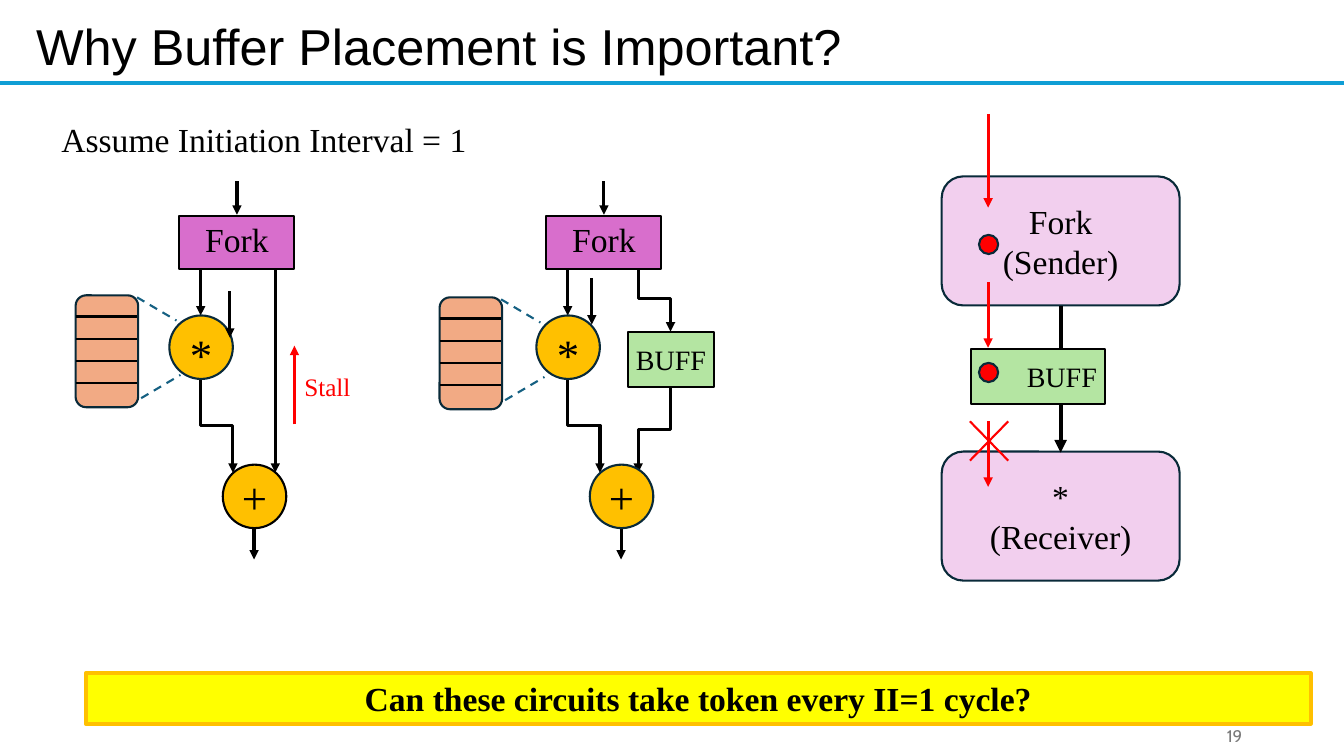
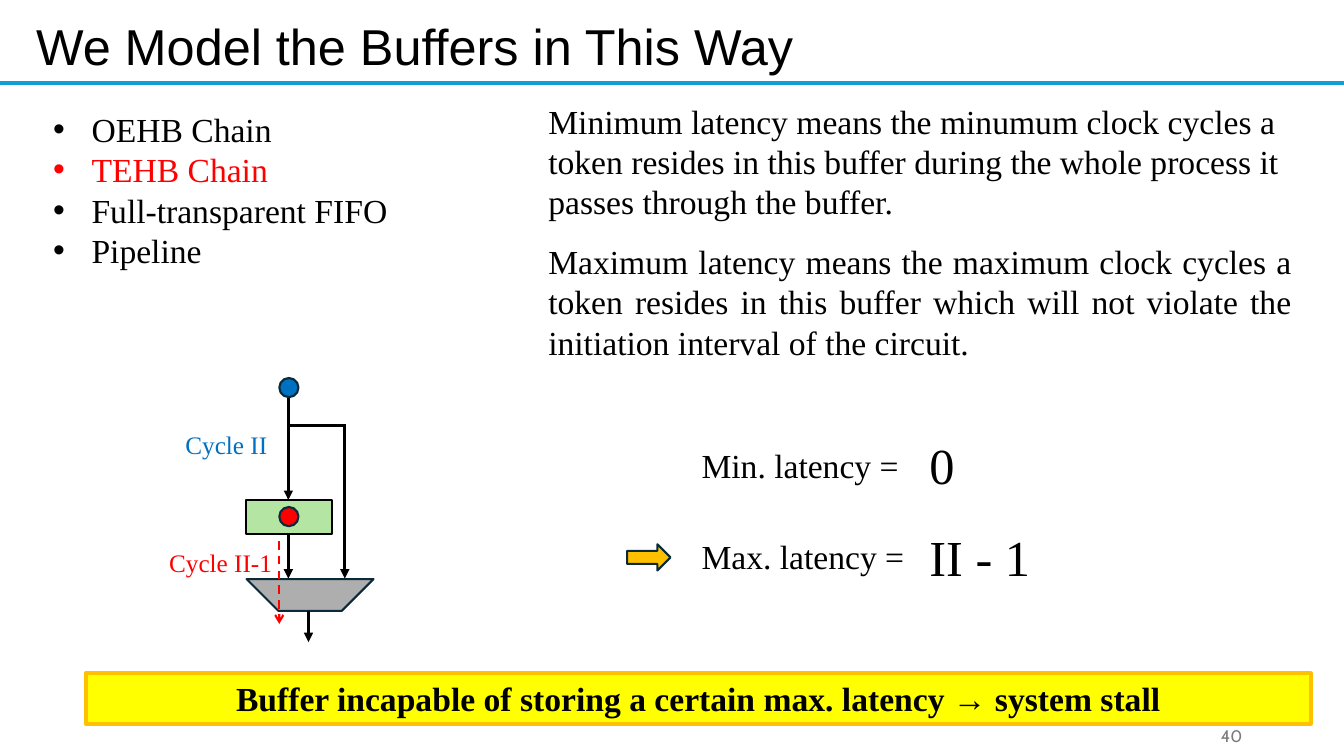
from lxml import etree
from pptx import Presentation
from pptx.dml.color import RGBColor
from pptx.enum.dml import MSO_LINE
from pptx.enum.shapes import MSO_CONNECTOR, MSO_SHAPE
from pptx.enum.text import MSO_ANCHOR, MSO_AUTO_SIZE, PP_ALIGN
from pptx.oxml.ns import qn
from pptx.util import Inches, Pt

RECT, ROUND, OVAL = MSO_SHAPE.RECTANGLE, MSO_SHAPE.ROUNDED_RECTANGLE, MSO_SHAPE.OVAL
STRIPE, BLOCK_ARROW = MSO_SHAPE.DIAGONAL_STRIPE, MSO_SHAPE.RIGHT_ARROW
STRAIGHT, ELBOW = MSO_CONNECTOR.STRAIGHT, MSO_CONNECTOR.ELBOW
LEFT, CENTER, RIGHT, JUSTIFY = (PP_ALIGN.LEFT, PP_ALIGN.CENTER,
                                PP_ALIGN.RIGHT, PP_ALIGN.JUSTIFY)
TOP, MIDDLE = MSO_ANCHOR.TOP, MSO_ANCHOR.MIDDLE
FIT, DASH = MSO_AUTO_SIZE.SHAPE_TO_FIT_TEXT, MSO_LINE.DASH

COLORS = {
    "black": "000000", "outline": "092A39", "red": "FF0000", "blue": "0070C0",
    "rule": "0F9ED5", "guide": "156082", "number": "797979", "yellow": "FFFF00",
    "amber": "FFC000", "fork": "D86ECC", "unit": "F2CFEE", "buffer": "B4E5A2",
    "pipeline": "F2AA84", "mux": "AEAEAE",
}
SERIF, TITLE_FONT, NUMBER_FONT = "Times New Roman", "Arial", "Cabin"
TOKEN = 0.19


def rgb(name):
    return RGBColor.from_string(COLORS[name])


# Text

def write(frame, text, size=24, color="black", font=SERIF, bold=False,
          align=LEFT, bullet=False, accents=None):
    """Fill a text frame, one paragraph per line; accents maps lines to colours."""
    for i, content in enumerate(text.split("\n")):
        paragraph = frame.paragraphs[0] if i == 0 else frame.add_paragraph()
        paragraph.alignment = align
        if bullet:
            props = paragraph._p.get_or_add_pPr()
            props.set("marL", str(Inches(0.38)))
            props.set("indent", str(-Inches(0.38)))
            etree.SubElement(props, qn("a:buFont")).set("typeface", "Arial")
            etree.SubElement(props, qn("a:buChar")).set("char", "•")
        run = paragraph.add_run()
        run.text = content
        run.font.name, run.font.size, run.font.bold = font, Pt(size), bold
        run.font.color.rgb = rgb((accents or {}).get(content, color))


def label(slide, text, x, y, w, h, wrap=False, anchor=TOP, **style):
    box = slide.shapes.add_textbox(Inches(x), Inches(y), Inches(w), Inches(h))
    frame = box.text_frame
    frame.word_wrap, frame.auto_size = wrap, FIT
    frame.vertical_anchor = anchor
    write(frame, text, **style)


# Shapes and lines

def block(slide, kind, x, y, w, h, fill, line="outline", weight=1.5,
          text=None, nudge=0, **style):
    """Draw a preset shape; nudge moves its text down by that many inches."""
    shape = slide.shapes.add_shape(kind, Inches(x), Inches(y), Inches(w), Inches(h))
    shape.shadow.inherit = False
    shape.fill.solid()
    shape.fill.fore_color.rgb = rgb(fill)
    shape.line.color.rgb = rgb(line)
    shape.line.width = Pt(weight)
    if text:
        frame = shape.text_frame
        frame.word_wrap, frame.vertical_anchor = False, MIDDLE
        frame.margin_left = frame.margin_right = Inches(0.08)
        frame.margin_top = Inches(max(0, 2 * nudge))
        frame.margin_bottom = Inches(max(0, -2 * nudge))
        write(frame, text, **{"align": CENTER, **style})
    return shape


def line(slide, start, end, color="black", weight=2.25, dash=None, tip=None,
         kind=STRAIGHT):
    points = [Inches(v) for v in (*start, *end)]
    connector = slide.shapes.add_connector(kind, *points)
    connector.line.color.rgb = rgb(color)
    connector.line.width = Pt(weight)
    if dash:
        connector.line.dash_style = dash
    props = connector._element.spPr
    if tip:
        etree.SubElement(props.find(qn("a:ln")), qn("a:tailEnd")).set("type", tip)
    etree.SubElement(props, qn("a:effectLst"))
    return connector


def arrow(slide, start, end, **style):
    return line(slide, start, end, **{"tip": "triangle", **style})


def down_arrow(slide, x, y, length, **style):
    arrow(slide, (x, y), (x, y + length), **style)


def bent_arrow(slide, start, end):
    """Route down, across and down: an elbow connector turned a quarter."""
    (x1, y1), (x2, y2) = start, end
    mid_x, mid_y = (x1 + x2) / 2, (y1 + y2) / 2
    half_w, half_h = (y2 - y1) / 2, abs(x2 - x1) / 2
    connector = arrow(slide, (mid_x - half_w, mid_y - half_h),
                      (mid_x + half_w, mid_y + half_h), kind=ELBOW)
    frame = connector._element.spPr.find(qn("a:xfrm"))
    frame.set("rot", str((270 if x2 > x1 else 90) * 60000))
    if x2 > x1:
        frame.set("flipH", "1")


# Circuit parts

def token(slide, x, y, color="red"):
    block(slide, OVAL, x, y, TOKEN, TOKEN, color)


def pipeline(slide, x, y):
    """Pipeline stages, with guides to the multiplier they belong to."""
    block(slide, ROUND, x, y, 0.62, 1.11, "pipeline")
    for start, end in (((0.61, 0.02), (1, 0.25)), ((0.65, 1.02), (1.04, 0.79))):
        line(slide, (x + start[0], y + start[1]), (x + end[0], y + end[1]),
             color="guide", weight=1.5, dash=DASH)
    for stage in range(4):
        stage_y = y + 0.21 + 0.22 * stage
        line(slide, (x, stage_y), (x + 0.61, stage_y), weight=1.5)


def buffer(slide, x, y, w, h=0.55, text="BUFF", **style):
    block(slide, RECT, x, y, w, h, "buffer", "black", text=text, size=20, **style)


def circuit(slide, x, buffered=False, plus_line="outline"):
    """Fork, multiplier and adder, with or without a buffer on the short path."""
    down_arrow(slide, x + 0.57, 1.8, 0.33)
    down_arrow(slide, x + 0.21, 2.68, 0.45)
    bent_arrow(slide, (x + 0.21, 3.75), (x + 0.53, 4.69))
    down_arrow(slide, x + 0.74, 5.23, 0.32)
    if buffered:
        bent_arrow(slide, (x + 0.91, 2.64), (x + 1.23, 3.29))
        bent_arrow(slide, (x + 1.23, 3.83), (x + 0.91, 4.69))
        buffer(slide, x + 0.81, 3.29, 0.85)
    else:
        down_arrow(slide, x + 0.95, 2.68, 2.01)
    block(slide, RECT, x, 2.14, 1.14, 0.53, "fork", "black", text="Fork", nudge=-0.03)
    block(slide, OVAL, x - 0.1, 3.13, 0.63, 0.63, "amber", text="*", size=32,
          nudge=0.06)
    block(slide, OVAL, x + 0.43, 4.61, 0.63, 0.63, "amber", plus_line, text="+",
          size=32)


def handshake(slide):
    """Sender, buffer and receiver, with the token held in the buffer."""
    x = 9.34
    for y, text in ((1.75, "Fork\n(Sender)"), (4.48, "*\n(Receiver)")):
        block(slide, ROUND, x, y, 2.36, 1.28, "unit", text=text)
    down_arrow(slide, 10.52, 3.04, 1.45, weight=3)
    buffer(slide, 9.63, 3.46, 1.33, align=RIGHT)
    for y in (2.33, 3.6):
        token(slide, 9.71, y)
    for y, length in ((1.13, 0.93), (2.8, 0.65), (4.18, 0.65)):
        down_arrow(slide, 9.8, y, length, color="red")
    # Cross over the blocked transfer
    for y1, y2 in ((4.18, 4.57), (4.57, 4.18)):
        line(slide, (9.62, y1), (10, y2), color="red", weight=1.5)


# Slides

def new_slide(deck, title, message, number):
    """Blank slide with the shared title, rule, message band and page number."""
    slide = deck.slides.add_slide(deck.slide_layouts[6])
    line(slide, (0, 0.82), (13.33, 0.82), color="rule", weight=3)
    label(slide, title, 0.26, 0.1, 11.59, 0.71, wrap=True, size=36, font=TITLE_FONT)
    block(slide, RECT, 0.85, 6.68, 12.15, 0.5, "yellow", "amber", 3,
          text=message, bold=True)
    label(slide, number, 9.42, 7.1, 3, 0.4, wrap=True, anchor=MIDDLE, size=12,
          font=NUMBER_FONT, color="number", align=RIGHT)
    return slide


def placement_slide(deck):
    slide = new_slide(deck, "Why Buffer Placement is Important?",
                      "Can these circuits take token every II=1 cycle?", "19")
    label(slide, "Assume Initiation Interval = 1", 0.51, 1.13, 4.26, 0.5)

    # Stalling circuit
    circuit(slide, 1.78, plus_line="black")
    pipeline(slide, 0.75, 2.93)
    down_arrow(slide, 2.28, 2.89, 0.46)
    arrow(slide, (2.92, 4.21), (2.92, 3.43), color="red")
    label(slide, "Stall", 2.92, 3.63, 0.66, 0.4, size=18, color="red")

    # Buffered circuit
    circuit(slide, 5.42, buffered=True)
    pipeline(slide, 4.36, 2.95)
    down_arrow(slide, 5.87, 2.76, 0.46)

    handshake(slide)


def model_slide(deck):
    slide = new_slide(
        deck, "We Model the Buffers in This Way",
        "Buffer incapable of storing a certain max. latency → system stall", "40")

    # Buffer types and definitions
    label(slide, "OEHB Chain\nTEHB Chain\nFull-transparent FIFO\nPipeline",
          0.43, 1.03, 3.54, 1.72, bullet=True, accents={"TEHB Chain": "red"})
    label(slide, "Minimum latency means the minumum clock cycles a token resides in "
          "this buffer during the whole process it passes through the buffer.",
          5.34, 0.95, 7.8, 1.31, wrap=True)
    label(slide, "Maximum latency means the maximum clock cycles a token resides in "
          "this buffer which will not violate the initiation interval of the circuit.",
          5.34, 2.34, 7.57, 1.31, wrap=True, align=JUSTIFY)

    # Latency values
    for y, name, value, width in ((4.36, "Min. latency =", "0", 0.45),
                                  (5.27, "Max. latency =", "II - 1", 1.21)):
        label(slide, name, 6.86, y, 2.26, 0.5)
        label(slide, value, 9.12, y - 0.1, width, 0.71, size=36)
    block(slide, BLOCK_ARROW, 6.22, 5.4, 0.43, 0.26, "amber")

    # Buffer and bypass into the multiplexer
    mux = block(slide, STRIPE, 2.63, 5.3, 0.89, 0.89, "mux")
    mux.rotation = 225
    down_arrow(slide, 2.86, 3.76, 1.2)
    buffer(slide, 2.44, 4.96, 0.85, 0.34, text=None)
    down_arrow(slide, 2.86, 5.29, 0.45)
    line(slide, (2.86, 4.22), (3.42, 4.22))
    down_arrow(slide, 3.42, 4.21, 1.53)
    down_arrow(slide, 3.06, 6.06, 0.31)

    # Tokens and their cycles
    token(slide, 2.77, 3.75, "blue")
    token(slide, 2.77, 5.03)
    label(slide, "Cycle II", 1.74, 4.21, 1.02, 0.4, size=18, color="blue")
    label(slide, "Cycle II-1", 1.58, 5.38, 1.23, 0.4, size=18, color="red")
    down_arrow(slide, 2.77, 5.37, 0.82, color="red", weight=1.5, dash=DASH, tip="arrow")


def main():
    deck = Presentation()
    deck.slide_width, deck.slide_height = Inches(13.33), Inches(7.5)
    placement_slide(deck)
    model_slide(deck)
    deck.save("out.pptx")


if __name__ == "__main__":
    main()
